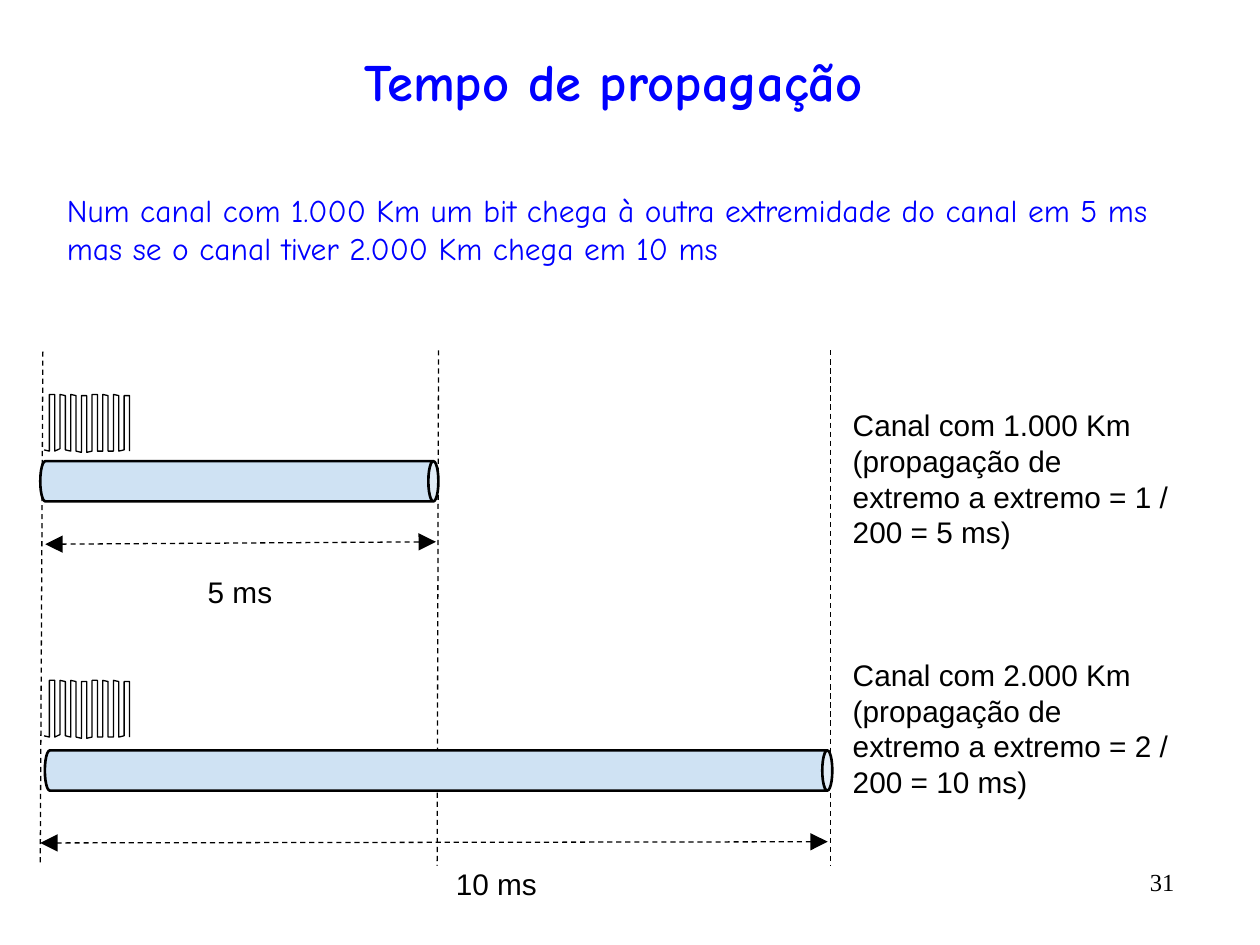
from dataclasses import dataclass

from pptx import Presentation
from pptx.dml.color import RGBColor
from pptx.enum.dml import MSO_LINE
from pptx.enum.shapes import MSO_CONNECTOR, MSO_SHAPE
from pptx.enum.text import MSO_ANCHOR, MSO_AUTO_SIZE, PP_ALIGN
from pptx.oxml.ns import qn
from pptx.util import Pt
from lxml.etree import SubElement


@dataclass(frozen=True)
class Theme:
    blue: str = "0000FF"
    ink: str = "000000"
    pipe: str = "CFE2F3"
    heading_font: str = "Comic Neue"
    label_font: str = "Arial"
    number_font: str = "Times New Roman"
    title_size: float = 30
    body_size: float = 18
    label_size: float = 17
    number_size: float = 14
    thin: float = 0.75
    thick: float = 1.5


PULSE_HIGHS = (0, 0, 0, 0.7, 0, 0.7, 0.7, 0.7, 0, 0, 0, 0.7, 0, 0.7, 0.7, 0.7)
PULSE_LOWS = (31.7, 32.4, 32.4, 31, 31.7, 32.4, 32.4, 33.1, 33.1,
              32.4, 32.4, 32.4, 32.4, 32.4, 32.4, 31.7, 32.4)
PULSE_STEP = 3.05


def write(para, text, *, font, size, color, bold=False, align=PP_ALIGN.LEFT, before=0):
    para.alignment = align
    para.space_before = Pt(before)
    span = para.add_run()
    span.text = text
    span.font.name = font
    span.font.size = Pt(size)
    span.font.bold = bold
    span.font.color.rgb = RGBColor.from_string(color)


class SlideBuilder:
    def __init__(self, deck, theme):
        self.theme = theme
        self.page = deck.slides.add_slide(deck.slide_layouts[1])

    def place(self, box, left, top, width, height):
        box.left, box.top, box.width, box.height = Pt(left), Pt(top), Pt(width), Pt(height)

    def frame(self, box, inset, anchor=MSO_ANCHOR.TOP):
        frame = box.text_frame
        frame.word_wrap = True
        frame.auto_size = MSO_AUTO_SIZE.NONE
        frame.vertical_anchor = anchor
        frame.margin_left = frame.margin_right = Pt(7.2)
        frame.margin_top = frame.margin_bottom = Pt(inset)
        return frame

    def title(self, text, *bounds):
        box = self.page.shapes.title
        self.place(box, *bounds)
        frame = self.frame(box, 3.6, MSO_ANCHOR.MIDDLE)
        write(frame.paragraphs[0], text, font=self.theme.heading_font,
              size=self.theme.title_size, color=self.theme.blue, bold=True,
              align=PP_ALIGN.CENTER)

    def body(self, text, *bounds):
        box = self.page.placeholders[1]
        self.place(box, *bounds)
        para = self.frame(box, 3.6).paragraphs[0]
        properties = para._p.get_or_add_pPr()
        properties.set("marL", "0")
        properties.set("indent", "0")
        SubElement(properties, qn("a:buNone"))
        write(para, text, font=self.theme.heading_font,
              size=self.theme.body_size, color=self.theme.blue)

    def text(self, paragraphs, *bounds, inset=7.2, **style):
        box = self.page.shapes.add_textbox(*map(Pt, bounds))
        frame = self.frame(box, inset)
        style = dict(font=self.theme.label_font, size=self.theme.label_size,
                     color=self.theme.ink) | style
        for index, (text, before) in enumerate(paragraphs):
            para = frame.add_paragraph() if index else frame.paragraphs[0]
            write(para, text, before=before, **style)

    def outline(self, shape, width):
        shape.line.color.rgb = RGBColor.from_string(self.theme.ink)
        shape.line.width = Pt(width)

    def dashed(self, *ends, arrows=False):
        line = self.page.shapes.add_connector(MSO_CONNECTOR.STRAIGHT, *map(Pt, ends))
        self.outline(line, self.theme.thin)
        line.line.dash_style = MSO_LINE.DASH
        if arrows:
            for tag in ("a:headEnd", "a:tailEnd"):
                SubElement(line.line._ln, qn(tag), type="triangle", w="lg", len="lg")
        SubElement(line._element.spPr, qn("a:effectLst"))

    def pipe(self, left, top, length, thickness=23):
        shift = (length - thickness) / 2
        can = self.page.shapes.add_shape(
            MSO_SHAPE.CAN, Pt(left + shift), Pt(top - shift), Pt(thickness), Pt(length))
        can.rotation = 90
        can.adjustments[0] = 0.25
        can.shadow.inherit = False
        can.fill.solid()
        can.fill.fore_color.rgb = RGBColor.from_string(self.theme.pipe)
        self.outline(can, self.theme.thick)

    def pulses(self, left, top):
        points = [(left, top + PULSE_LOWS[0])]
        for index, (high, low) in enumerate(zip(PULSE_HIGHS, PULSE_LOWS[1:])):
            x = left + PULSE_STEP * (index + 1)
            edge = [(x, top + low), (x, top + high)]
            points += edge if index % 2 == 0 else edge[::-1]
        points = [(Pt(x), Pt(y)) for x, y in points]
        builder = self.page.shapes.build_freeform(*points[0])
        builder.add_line_segments(points[1:], close=False)
        wave = builder.convert_to_shape()
        wave.shadow.inherit = False
        wave.fill.background()
        self.outline(wave, self.theme.thin)


def main():
    deck = Presentation()
    deck.slide_width, deck.slide_height = Pt(720), Pt(540)
    theme = Theme()
    slide = SlideBuilder(deck, theme)

    slide.title("Tempo de propagação", 23, 15.8, 655.2, 60.5)
    slide.body("Num canal com 1.000 Km um bit chega à outra extremidade do canal "
               "em 5 ms mas se o canal tiver 2.000 Km chega em 10 ms",
               31, 105.8, 668.2, 414)
    slide.text([("31", 0)], 606.2, 491.8, 72, 30.2, inset=3.6,
               font=theme.number_font, size=theme.number_size, align=PP_ALIGN.RIGHT)
    slide.text([("Canal com 1.000 Km", 0),
                ("(propagação de extremo a extremo = 1 / 200 = 5 ms)", 0),
                ("Canal com 2.000 Km", 61),
                ("(propagação de extremo a extremo = 2 / 200 = 10 ms)", 0)],
               480.2, 225.4, 198, 294.5)

    slide.dashed(25.9, 311, 249.1, 309.6, arrows=True)
    slide.text([("5 ms", 0)], 111.6, 320.4, 87.1, 54)
    for top_x, top_y, bottom_x, bottom_y in (
            (474.5, 200.2, 474.5, 494.6),
            (24.5, 200.9, 23, 493.9),
            (250.6, 200.2, 249.8, 494.6)):
        slide.dashed(top_x, top_y, bottom_x, bottom_y)

    slide.pipe(23, 263.5, 227.5)
    slide.pipe(25.6, 428.8, 450)
    for top in (388.8, 225.4):
        slide.pulses(25.2, top)

    slide.dashed(23, 481.7, 473, 481, arrows=True)
    slide.text([("10 ms", 0)], 253.4, 487.4, 124.6, 38.9)

    deck.save("out.pptx")


if __name__ == "__main__":
    main()
